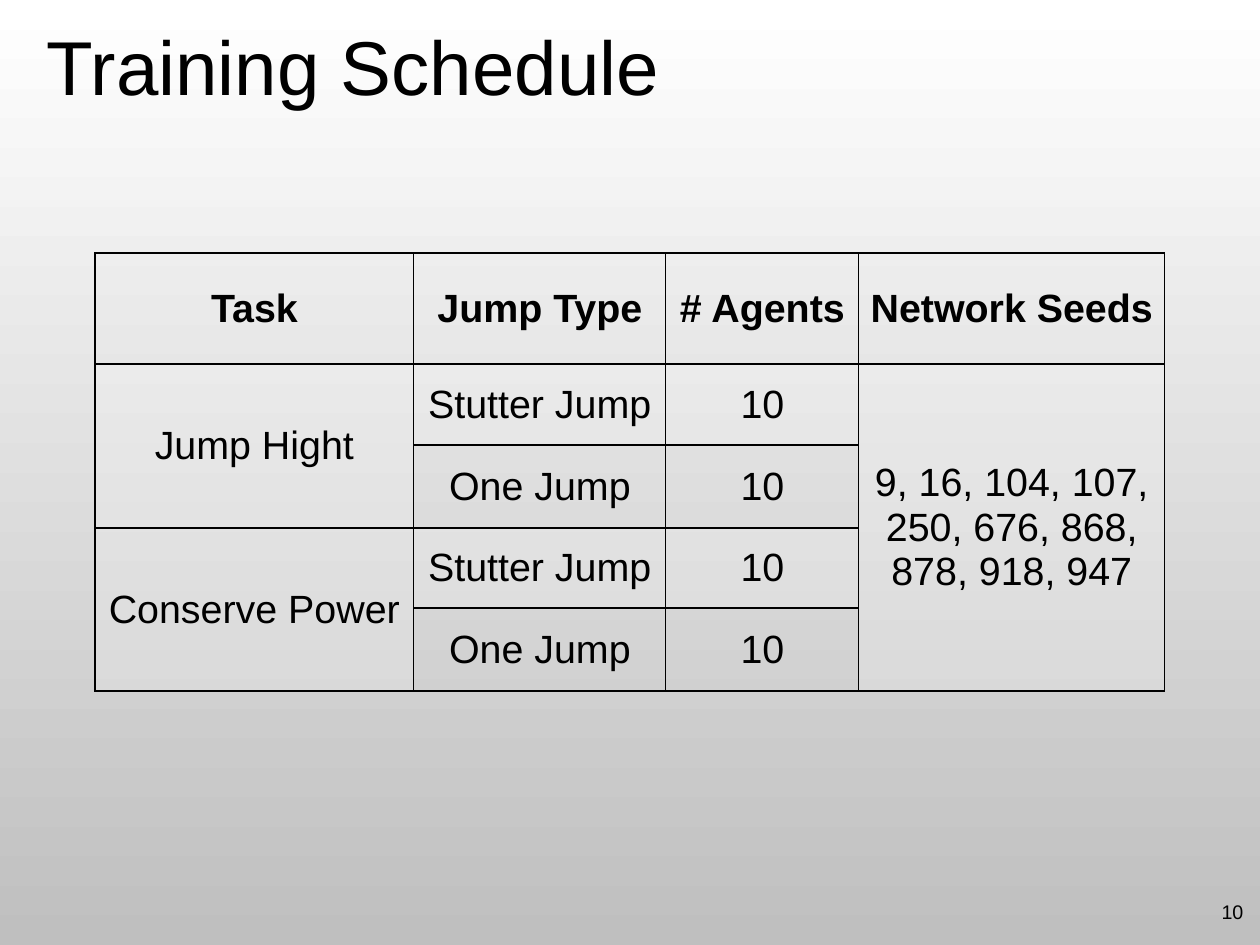
from lxml import etree
from pptx import Presentation
from pptx.dml.color import RGBColor
from pptx.enum.text import MSO_ANCHOR, PP_ALIGN
from pptx.oxml.ns import qn
from pptx.util import Pt

MIDDLE, TOP = MSO_ANCHOR.MIDDLE, MSO_ANCHOR.TOP
LEFT, CENTER = PP_ALIGN.LEFT, PP_ALIGN.CENTER
BLACK = RGBColor(0x00, 0x00, 0x00)
WHITE = RGBColor(0xFF, 0xFF, 0xFF)
GRAY = RGBColor(0xBF, 0xBF, 0xBF)
FONT = "Arial"
EMU_PER_PX = 10320

SLIDE_SIZE = (1260, 945)
TITLE = "Training Schedule"
TITLE_BOX = (42, 5, 1070, 120)
TITLE_MARGINS = (5, 5, 11, 5)
PAGE_NUMBER = "10"
PAGE_NUMBER_BOX = (1216, 896, 33, 31)
PAGE_NUMBER_MARGINS = (0, 4, 0, 4)

SCHEDULE = [
    ("Task", "Jump Type", "# Agents", "Network Seeds"),
    ("Jump Hight", "Stutter Jump", "10",
     "9, 16, 104, 107, 250, 676, 868, 878, 918, 947"),
    (None, "One Jump", "10", None),
    ("Conserve Power", "Stutter Jump", "10", None),
    (None, "One Jump", "10", None),
]
SCHEDULE_CORNER = (95, 253)
COLUMN_WIDTHS = (319, 252, 193, 306)
ROW_HEIGHTS = (111, 81, 83, 80, 83)
MERGES = [((1, 0), (2, 0)), ((3, 0), (4, 0)), ((1, 3), (4, 3))]
TINTED_ROWS = (1, 3)
TINT_ALPHA = 20000


def px(length):
    return length * EMU_PER_PX


def write(frame, text, size, align, bold=False):
    paragraph = frame.paragraphs[0]
    paragraph.alignment = align
    run = paragraph.add_run()
    run.text = text
    run.font.name = FONT
    run.font.size = Pt(size)
    run.font.bold = bold
    run.font.color.rgb = BLACK


def add_label(slide, box, margins, text, size, align, anchor, wrap):
    frame = slide.shapes.add_textbox(*map(px, box)).text_frame
    frame.word_wrap = wrap
    frame.vertical_anchor = anchor
    (frame.margin_left, frame.margin_top,
     frame.margin_right, frame.margin_bottom) = map(px, margins)
    write(frame, text, size, align)


def add_borders(cell):
    properties = cell._tc.get_or_add_tcPr()
    for side in ("a:lnL", "a:lnR", "a:lnT", "a:lnB"):
        line = etree.SubElement(properties, qn(side), w=str(Pt(1)))
        fill = etree.SubElement(line, qn("a:solidFill"))
        etree.SubElement(fill, qn("a:srgbClr"), val=str(BLACK))


def fill_cell(cell, tinted):
    if not tinted:
        cell.fill.background()
        return
    cell.fill.solid()
    cell.fill.fore_color.rgb = WHITE
    color = cell._tc.tcPr.find(qn("a:solidFill")).find(qn("a:srgbClr"))
    etree.SubElement(color, qn("a:alpha"), val=str(TINT_ALPHA))


def add_schedule(slide):
    size = (sum(COLUMN_WIDTHS), sum(ROW_HEIGHTS))
    schedule = slide.shapes.add_table(
        len(ROW_HEIGHTS), len(COLUMN_WIDTHS), *map(px, SCHEDULE_CORNER + size)).table
    schedule.first_row = False
    schedule.horz_banding = False
    for column, width in zip(schedule.columns, COLUMN_WIDTHS):
        column.width = px(width)
    for row, height in zip(schedule.rows, ROW_HEIGHTS):
        row.height = px(height)
    for first, last in MERGES:
        schedule.cell(*first).merge(schedule.cell(*last))
    for row, entries in enumerate(SCHEDULE):
        for column, entry in enumerate(entries):
            cell = schedule.cell(row, column)
            add_borders(cell)
            fill_cell(cell, row in TINTED_ROWS and entry is not None)
            cell.vertical_anchor = MIDDLE
            if entry is not None:
                write(cell.text_frame, entry, 32, CENTER, bold=row == 0)


def main():
    deck = Presentation()
    deck.slide_width, deck.slide_height = map(px, SLIDE_SIZE)
    slide = deck.slides.add_slide(deck.slide_layouts[6])

    background = slide.background.fill
    background.gradient()
    background.gradient_angle = 270
    for stop, color, position in zip(background.gradient_stops, (WHITE, GRAY), (0, 1)):
        stop.color.rgb = color
        stop.position = position

    add_label(slide, TITLE_BOX, TITLE_MARGINS, TITLE, 62, LEFT, MIDDLE, True)
    add_label(slide, PAGE_NUMBER_BOX, PAGE_NUMBER_MARGINS, PAGE_NUMBER, 16,
              CENTER, TOP, False)
    add_schedule(slide)
    deck.save("out.pptx")


if __name__ == "__main__":
    main()
